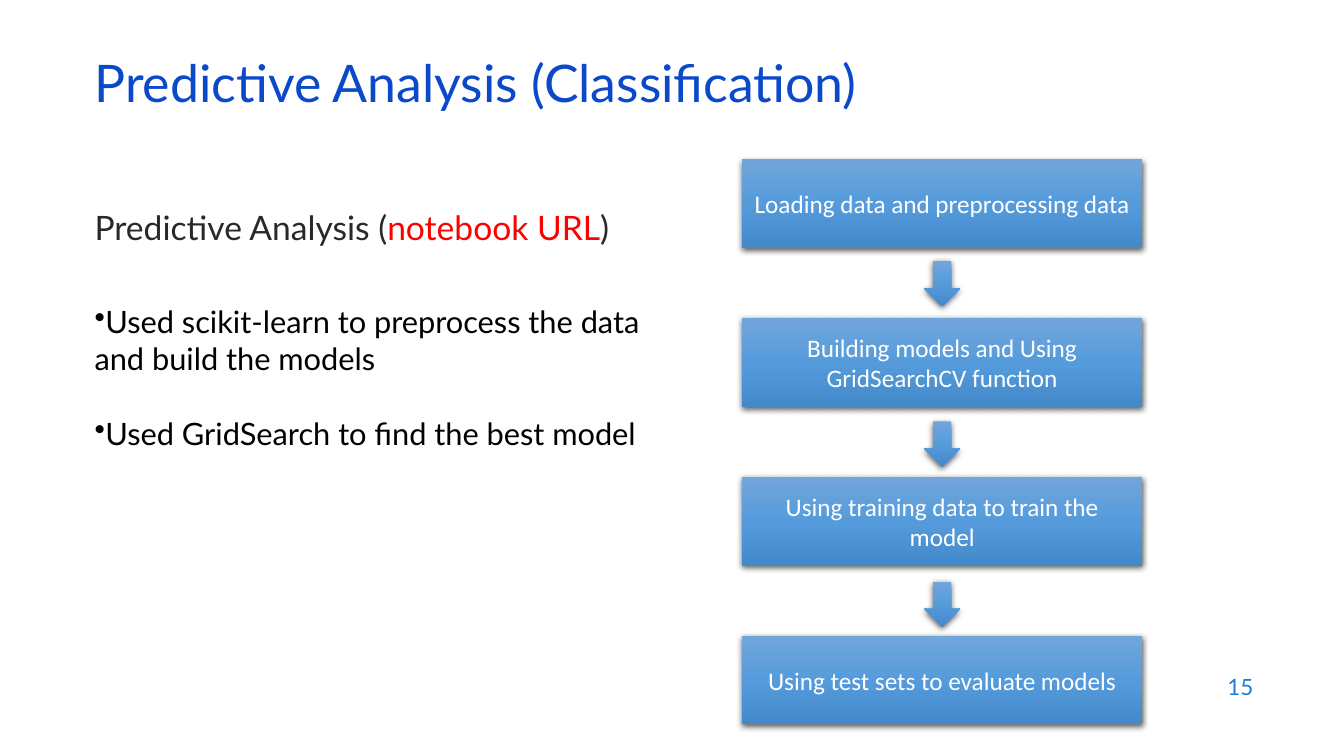
from dataclasses import dataclass

from lxml.etree import SubElement
from pptx import Presentation
from pptx.dml.color import RGBColor
from pptx.enum.shapes import MSO_SHAPE as Preset
from pptx.enum.text import MSO_ANCHOR as Anchor, PP_ALIGN as Align
from pptx.oxml import parse_xml
from pptx.oxml.ns import nsdecls, qn
from pptx.shapes.autoshape import Shape
from pptx.slide import Slide
from pptx.text.text import TextFrame
from pptx.util import Inches, Length, Pt

SLIDE_WIDTH, SLIDE_HEIGHT = Inches(13.33), Inches(7.5)
COLORS = {
    "title": "0B49CB",
    "heading": "292929",
    "link": "FF0000",
    "body": "000000",
    "number": "1C7DDB",
    "step": "FFFFFF",
    "shadow": "000000",
    "top": "71A6DB",
    "middle": "559BDB",
    "bottom": "448ACA",
}
GRADIENT = {"top": 0, "middle": 50, "bottom": 100}
STEPS = (
    "Loading data and preprocessing data",
    "Building models and Using GridSearchCV function",
    "Using training data to train the model",
    "Using test sets to evaluate models",
)


@dataclass(frozen=True)
class Area:
    """A rectangle in percent of the slide's width and height."""

    left: float
    top: float
    width: float
    height: float

    def lengths(self) -> tuple[Length, ...]:
        sides = (SLIDE_WIDTH, SLIDE_HEIGHT) * 2
        shares = (self.left, self.top, self.width, self.height)
        return tuple(Length(int(side * share / 100)) for side, share in zip(sides, shares))

    def lowered(self, distance: float) -> "Area":
        return Area(self.left, self.top + distance, self.width, self.height)


@dataclass(frozen=True)
class Line:
    spans: tuple[tuple[str, str], ...]
    size: float
    font: str = "Lato"
    align: Align = Align.LEFT
    spacing: float = 1.0
    before: float = 0
    bullet: bool = False


@dataclass(frozen=True)
class Block:
    area: Area
    lines: tuple[Line, ...]
    anchor: Anchor = Anchor.MIDDLE


STEP_AREA, STEP_PITCH = Area(55.2, 21.07, 29.8, 11.73), 21
ARROW_AREA, ARROW_PITCH = Area(68.75, 34.53, 2.7, 6), 21.2

BLOCKS = (
    Block(
        Area(71.49, 87.87, 22.5, 5.87),
        (Line((("15", "number"),), 16, align=Align.RIGHT),),
    ),
    Block(
        Area(6.3, 26.67, 45.46, 63.47),
        (
            Line(
                (("Predictive Analysis (", "heading"), ("notebook URL", "link"), (")", "heading")),
                24,
            ),
            Line(
                (("Used scikit-learn to preprocess the data and build the models", "body"),),
                22,
                before=40,
                bullet=True,
            ),
            Line(
                (("Used GridSearch to find the best model", "body"),),
                22,
                before=27,
                bullet=True,
            ),
        ),
        Anchor.TOP,
    ),
    Block(
        Area(6.3, 7.87, 86.27, 8),
        (Line((("Predictive Analysis (Classification)", "title"),), 37, spacing=0.7),),
    ),
)


def write(frame: TextFrame, lines: tuple[Line, ...], anchor: Anchor) -> None:
    frame.word_wrap = True
    frame.vertical_anchor = anchor
    for index, line in enumerate(lines):
        para = frame.add_paragraph() if index else frame.paragraphs[0]
        para.alignment = line.align
        para.line_spacing = line.spacing
        para.space_before = Pt(line.before)
        if line.bullet:
            properties = para._p.get_or_add_pPr()
            properties.set("marL", "0")
            properties.set("indent", "0")
            SubElement(properties, qn("a:buChar"), char="•")
        para.font.name = line.font
        para.font.size = Pt(line.size)
        main_color = line.spans[0][1]
        para.font.color.rgb = RGBColor.from_string(COLORS[main_color])
        for text, color in line.spans:
            span = para.add_run()
            span.text = text
            if color != main_color:
                span.font.color.rgb = RGBColor.from_string(COLORS[color])


def add_glossy(page: Slide, preset: Preset, area: Area) -> Shape:
    """Add a borderless shape with the blue gradient and a soft shadow below."""
    shape = page.shapes.add_shape(preset, *area.lengths())
    shape.line.fill.background()
    shape.shadow.inherit = False
    stops = "".join(
        f'<a:gs pos="{share * 1000}"><a:srgbClr val="{COLORS[name]}"/></a:gs>'
        for name, share in GRADIENT.items()
    )
    properties = shape._element.spPr
    properties.find(qn("a:prstGeom")).addnext(parse_xml(
        f'<a:gradFill {nsdecls("a")} rotWithShape="1"><a:gsLst>{stops}</a:gsLst>'
        '<a:lin ang="5400000" scaled="0"/></a:gradFill>'
    ))
    properties.find(qn("a:effectLst")).append(parse_xml(
        f'<a:outerShdw {nsdecls("a")} blurRad="{Pt(4.5)}" dist="{Pt(1.5)}" dir="5400000"'
        f' algn="ctr" rotWithShape="0"><a:srgbClr val="{COLORS["shadow"]}">'
        '<a:alpha val="63000"/></a:srgbClr></a:outerShdw>'
    ))
    return shape


def main() -> None:
    deck = Presentation()
    deck.slide_width, deck.slide_height = SLIDE_WIDTH, SLIDE_HEIGHT
    page = deck.slides.add_slide(deck.slide_layouts[6])
    for block in BLOCKS:
        box = page.shapes.add_textbox(*block.area.lengths())
        write(box.text_frame, block.lines, block.anchor)
    for row, step in enumerate(STEPS):
        box = add_glossy(page, Preset.FLOWCHART_PROCESS, STEP_AREA.lowered(row * STEP_PITCH))
        label = Line(((step, "step"),), 18, "Calibri", Align.CENTER)
        write(box.text_frame, (label,), Anchor.MIDDLE)
    for row in range(len(STEPS) - 1):
        add_glossy(page, Preset.DOWN_ARROW, ARROW_AREA.lowered(row * ARROW_PITCH))
    deck.save("out.pptx")


if __name__ == "__main__":
    main()
